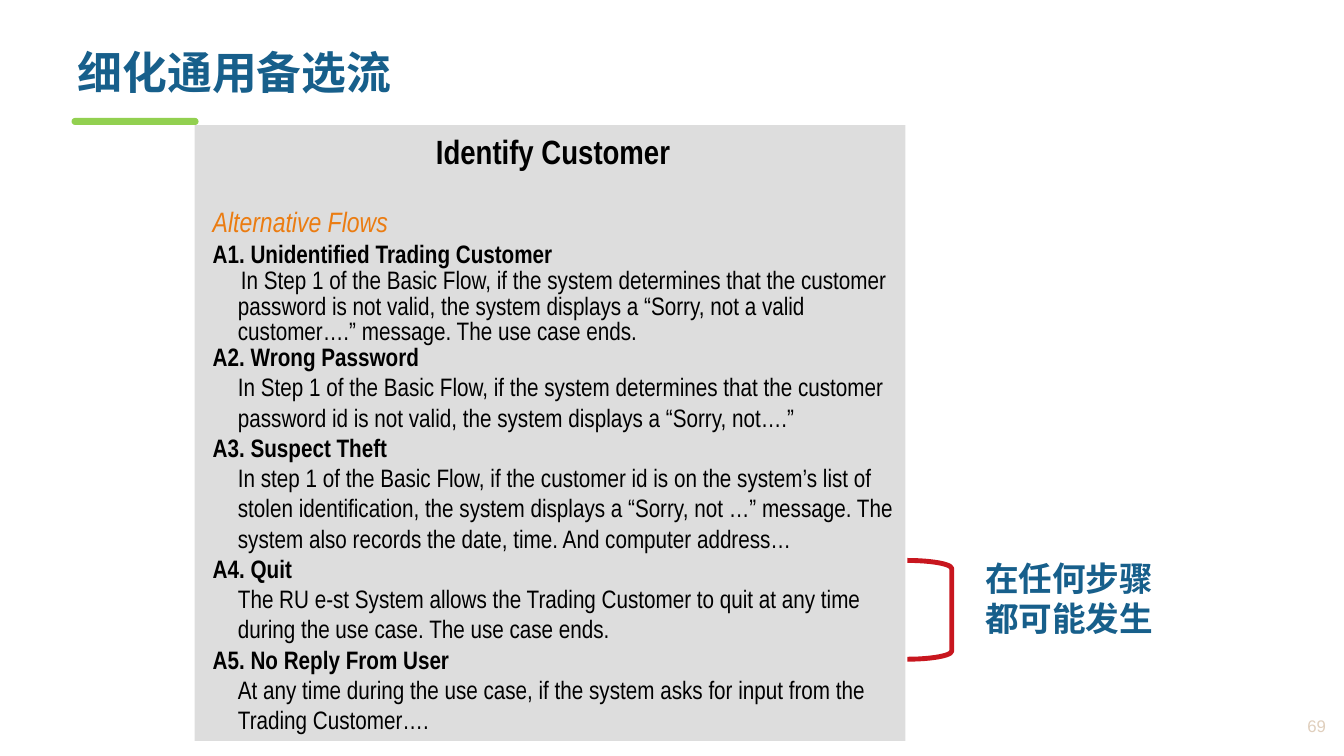
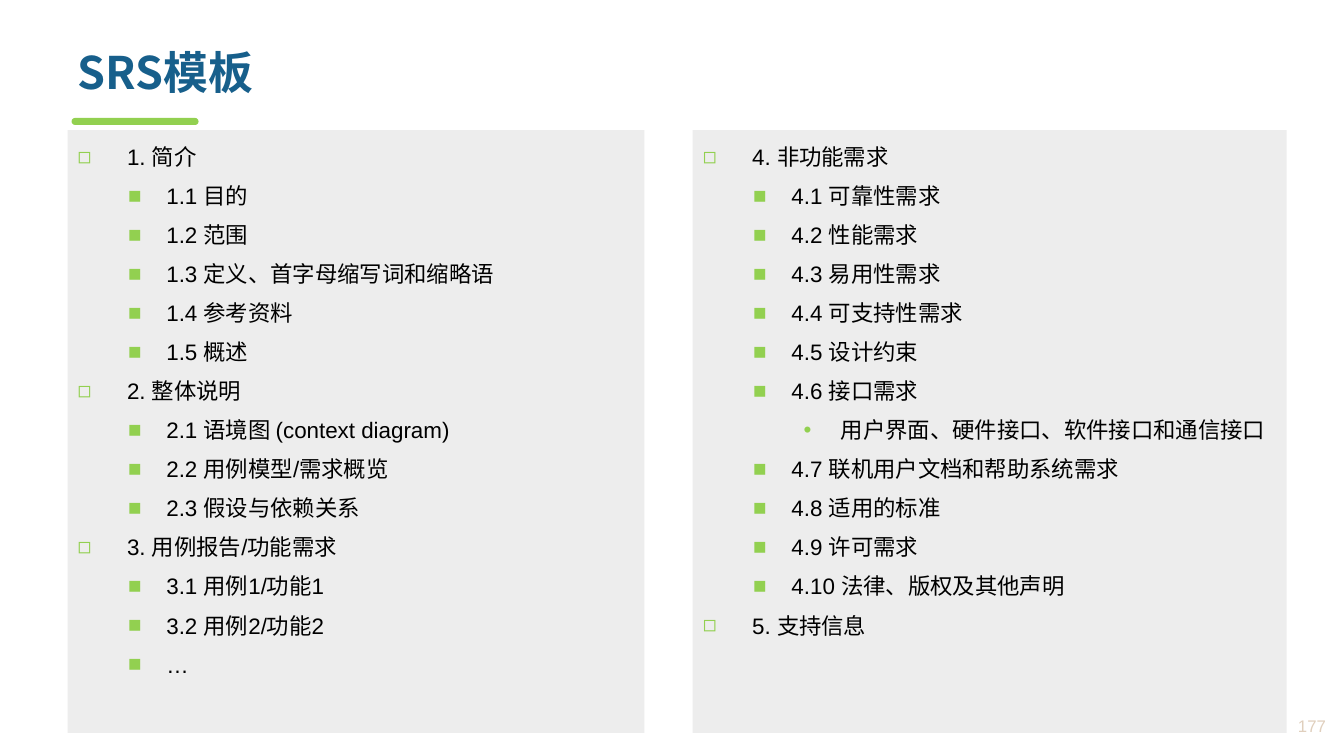
"""Build two requirements slides: alternative flows and an SRS outline."""
from dataclasses import dataclass

from lxml import etree
from pptx import Presentation
from pptx.dml.color import RGBColor
from pptx.enum.shapes import MSO_SHAPE
from pptx.enum.text import MSO_ANCHOR, MSO_AUTO_SIZE, PP_ALIGN
from pptx.oxml.ns import qn
from pptx.util import Inches, Pt

RECTANGLE = MSO_SHAPE.RECTANGLE
ROUND_BAR = MSO_SHAPE.ROUND_2_SAME_RECTANGLE
RIGHT_BRACKET = MSO_SHAPE.RIGHT_BRACKET
TOP, MIDDLE = MSO_ANCHOR.TOP, MSO_ANCHOR.MIDDLE
NO_FIT = MSO_AUTO_SIZE.NONE
LEFT, CENTER, RIGHT = PP_ALIGN.LEFT, PP_ALIGN.CENTER, PP_ALIGN.RIGHT


@dataclass(frozen=True)
class Theme:
    """Colours, fonts and type sizes of the deck."""
    heading: str = "175F8B"
    accent: str = "92D050"
    flow_panel: str = "DDDDDD"
    list_panel: str = "EDEDED"
    flow_heading: str = "EB7C11"
    bracket: str = "C8161E"
    number: str = "E0CFBD"
    ink: str = "000000"
    sans: str = "Arial"
    narrow: str = "Arial Narrow"
    cjk: str = "Noto Sans CJK SC"
    title_size: float = 32
    large_size: float = 24
    section_size: float = 20
    flow_size: float = 18
    list_size: float = 16
    number_size: float = 12


THEME = Theme()


@dataclass(frozen=True)
class Area:
    """A rectangle on the slide, in inches."""
    left: float
    top: float
    width: float
    height: float

    def emu(self):
        """Return the four lengths for a shape call."""
        return tuple(Inches(v) for v in (self.left, self.top, self.width, self.height))


@dataclass(frozen=True)
class Style:
    """The look of one run."""
    size: float
    color: str = THEME.ink
    font: str = THEME.sans
    bold: bool = False
    italic: bool = False


@dataclass(frozen=True)
class Layout:
    """Alignment, indents in inches and spacing of one paragraph."""
    align: PP_ALIGN = LEFT
    margin: float = 0
    indent: float = 0
    line: float | Pt = 1.0
    before: float = 0
    after: float = 0


@dataclass(frozen=True)
class Level:
    """The bullet and indents of one outline level."""
    bullet: str
    margin: float
    indent: float


@dataclass(frozen=True)
class Flow:
    """One alternative flow with its heading and description."""
    heading: str
    text: str
    first_indent: float = 0
    text_line: float = 1.0
    heading_line: float = 1.0


LEVELS = (Level("◻", 0.49, -0.49), Level("■", 0.88, -0.38), Level("•", 1.37, -0.37))
TITLE_AREA = Area(0.67, 0.41, 12.19, 0.75)
BAR_AREA = Area(0.71, 1.17, 1.26, 0.07)
NUMBER_AREA = Area(12.12, 7.01, 1.13, 0.38)
FLOW_AREA = Area(1.93, 1.24, 7.05, 6.11)
BRACKET_AREA = Area(9, 5.56, 0.44, 0.98)
LABEL_AREA = Area(9.65, 5.48, 2.4, 0.93)
LIST_AREAS = (Area(0.67, 1.29, 5.72, 5.98), Area(6.87, 1.29, 5.89, 5.98))
TITLE_LINE, LABEL_LINE, LIST_LINE = Pt(37), Pt(28.7), Pt(24.9)
FLOW_MARGIN = 0.31

FLOWS = (
    Flow("A1. Unidentified Trading Customer",
         "In Step 1 of the Basic Flow, if the system determines that the customer "
         "password is not valid, the system displays a “Sorry, not a valid "
         "customer….” message. The use case ends.", 0.03, 0.85),
    Flow("A2. Wrong Password",
         "In Step 1 of the Basic Flow, if the system determines that the customer "
         "password id is not valid, the system displays a “Sorry, not….”",
         heading_line=0.85),
    Flow("A3. Suspect Theft",
         "In step 1 of the Basic Flow, if the customer id is on the system’s list of "
         "stolen identification, the system displays a “Sorry, not …” message. The "
         "system also records the date, time. And computer address…"),
    Flow("A4. Quit",
         "The RU e-st System allows the Trading Customer to quit at any time during "
         "the use case. The use case ends."),
    Flow("A5. No Reply From User",
         "At any time during the use case, if the system asks for input from the "
         "Trading Customer…."),
)

OUTLINES = (
    ((0, "1. 简介"), (1, "1.1 目的"), (1, "1.2 范围"),
     (1, "1.3 定义、首字母缩写词和缩略语"), (1, "1.4 参考资料"), (1, "1.5 概述"),
     (0, "2. 整体说明"), (1, "2.1 语境图 (context diagram)"),
     (1, "2.2 用例模型/需求概览"), (1, "2.3 假设与依赖关系"),
     (0, "3. 用例报告/功能需求"), (1, "3.1 用例1/功能1"), (1, "3.2 用例2/功能2"),
     (1, "…")),
    ((0, "4. 非功能需求"), (1, "4.1 可靠性需求"), (1, "4.2 性能需求"),
     (1, "4.3 易用性需求"), (1, "4.4 可支持性需求"), (1, "4.5 设计约束"),
     (1, "4.6 接口需求"), (2, "用户界面、硬件接口、软件接口和通信接口"),
     (1, "4.7 联机用户文档和帮助系统需求"), (1, "4.8 适用的标准"),
     (1, "4.9 许可需求"), (1, "4.10 法律、版权及其他声明"), (0, "5. 支持信息")),
)


def rgb(color: str) -> RGBColor:
    """Convert a hex colour."""
    return RGBColor.from_string(color)


def prepare_frame(shape, anchor=TOP, side: float = 0.1, edge: float = 0.05):
    """Set wrapping, anchor and insets, and return the text frame."""
    frame = shape.text_frame
    frame.word_wrap = True
    frame.auto_size = NO_FIT
    frame.vertical_anchor = anchor
    frame.margin_left = frame.margin_right = Inches(side)
    frame.margin_top = frame.margin_bottom = Inches(edge)
    return frame


def add_para(frame, text: str, style: Style, layout: Layout = Layout()):
    """Write one paragraph, using the empty first one if there is one."""
    first = frame.paragraphs[0]
    para = frame.add_paragraph() if first.runs else first
    para.alignment = layout.align
    para.line_spacing = layout.line
    para.space_before = Pt(layout.before)
    para.space_after = Pt(layout.after)
    properties = para._p.get_or_add_pPr()
    properties.set("marL", str(Inches(layout.margin)))
    properties.set("indent", str(Inches(layout.indent)))
    span = para.add_run()
    span.text = text
    font = span.font
    font.name, font.size = style.font, Pt(style.size)
    font.bold, font.italic = style.bold, style.italic
    font.color.rgb = rgb(style.color)
    east_asian = etree.SubElement(span._r.get_or_add_rPr(), qn("a:ea"))
    east_asian.set("typeface", THEME.cjk)
    return para


def add_bullet(para, bullet: str) -> None:
    """Give a paragraph an accent-coloured bullet."""
    properties = para._p.get_or_add_pPr()
    color = etree.SubElement(properties, qn("a:buClr"))
    etree.SubElement(color, qn("a:srgbClr")).set("val", THEME.accent)
    etree.SubElement(properties, qn("a:buFont")).set("typeface", THEME.sans)
    etree.SubElement(properties, qn("a:buChar")).set("char", bullet)


def place(shape, area: Area) -> None:
    """Move and size a placeholder."""
    shape.left, shape.top, shape.width, shape.height = area.emu()


def add_filled(page, kind, area: Area, color: str):
    """Add a filled shape without line or shadow."""
    shape = page.shapes.add_shape(kind, *area.emu())
    shape.shadow.inherit = False
    shape.fill.solid()
    shape.fill.fore_color.rgb = rgb(color)
    shape.line.fill.background()
    return shape


def start_page(deck, layout_name: str, title: str, number: int):
    """Add a page with its title, accent bar and page number."""
    page = deck.slides.add_slide(deck.slide_layouts.get_by_name(layout_name))
    place(page.shapes.title, TITLE_AREA)
    add_para(prepare_frame(page.shapes.title), title,
             Style(THEME.title_size, THEME.heading, THEME.cjk, bold=True),
             Layout(line=TITLE_LINE))
    bar = add_filled(page, ROUND_BAR, BAR_AREA, THEME.accent)
    bar.adjustments[0] = bar.adjustments[1] = 0.5
    box = page.shapes.add_textbox(*NUMBER_AREA.emu())
    add_para(prepare_frame(box, MIDDLE), str(number),
             Style(THEME.number_size, THEME.number), Layout(RIGHT))
    return page


def build_flows(deck) -> None:
    """Build the page of alternative flows."""
    page = start_page(deck, "Title Only", "细化通用备选流", 69)
    panel = add_filled(page, RECTANGLE, FLOW_AREA, THEME.flow_panel)
    frame = prepare_frame(panel, side=0.12, edge=0.06)
    narrow, hanging = THEME.narrow, -0.25
    add_para(frame, "Identify Customer", Style(THEME.large_size, font=narrow, bold=True),
             Layout(CENTER, FLOW_MARGIN, hanging))
    add_para(frame, "Alternative Flows",
             Style(THEME.section_size, THEME.flow_heading, narrow, italic=True),
             Layout(LEFT, FLOW_MARGIN, hanging, before=24))
    for flow in FLOWS:
        add_para(frame, flow.heading, Style(THEME.flow_size, font=narrow, bold=True),
                 Layout(LEFT, FLOW_MARGIN, hanging, flow.heading_line))
        add_para(frame, flow.text, Style(THEME.flow_size, font=narrow),
                 Layout(LEFT, FLOW_MARGIN, flow.first_indent, flow.text_line))
    bracket = page.shapes.add_shape(RIGHT_BRACKET, *BRACKET_AREA.emu())
    bracket.shadow.inherit = False
    bracket.adjustments[0] = 0.184
    bracket.fill.background()
    bracket.line.color.rgb = rgb(THEME.bracket)
    bracket.line.width = Pt(3.5)
    label = prepare_frame(page.shapes.add_textbox(*LABEL_AREA.emu()), side=0.12, edge=0.06)
    for text in ("在任何步骤", "都可能发生"):
        add_para(label, text, Style(THEME.large_size, THEME.heading, bold=True),
                 Layout(line=LABEL_LINE))


def build_outline(deck) -> None:
    """Build the two-column SRS outline page."""
    page = start_page(deck, "Two Content", "SRS模板", 177)
    for index, (area, outline) in enumerate(zip(LIST_AREAS, OUTLINES), start=1):
        body = page.placeholders[index]
        place(body, area)
        body.fill.solid()
        body.fill.fore_color.rgb = rgb(THEME.list_panel)
        frame = prepare_frame(body)
        for depth, text in outline:
            level = LEVELS[depth]
            para = add_para(frame, text, Style(THEME.list_size),
                            Layout(LEFT, level.margin, level.indent, LIST_LINE, after=3))
            para.level = depth
            add_bullet(para, level.bullet)


def main() -> None:
    """Build and save the deck."""
    deck = Presentation()
    deck.slide_width, deck.slide_height = Inches(13.33), Inches(7.5)
    build_flows(deck)
    build_outline(deck)
    deck.save("out.pptx")


if __name__ == "__main__":
    main()
